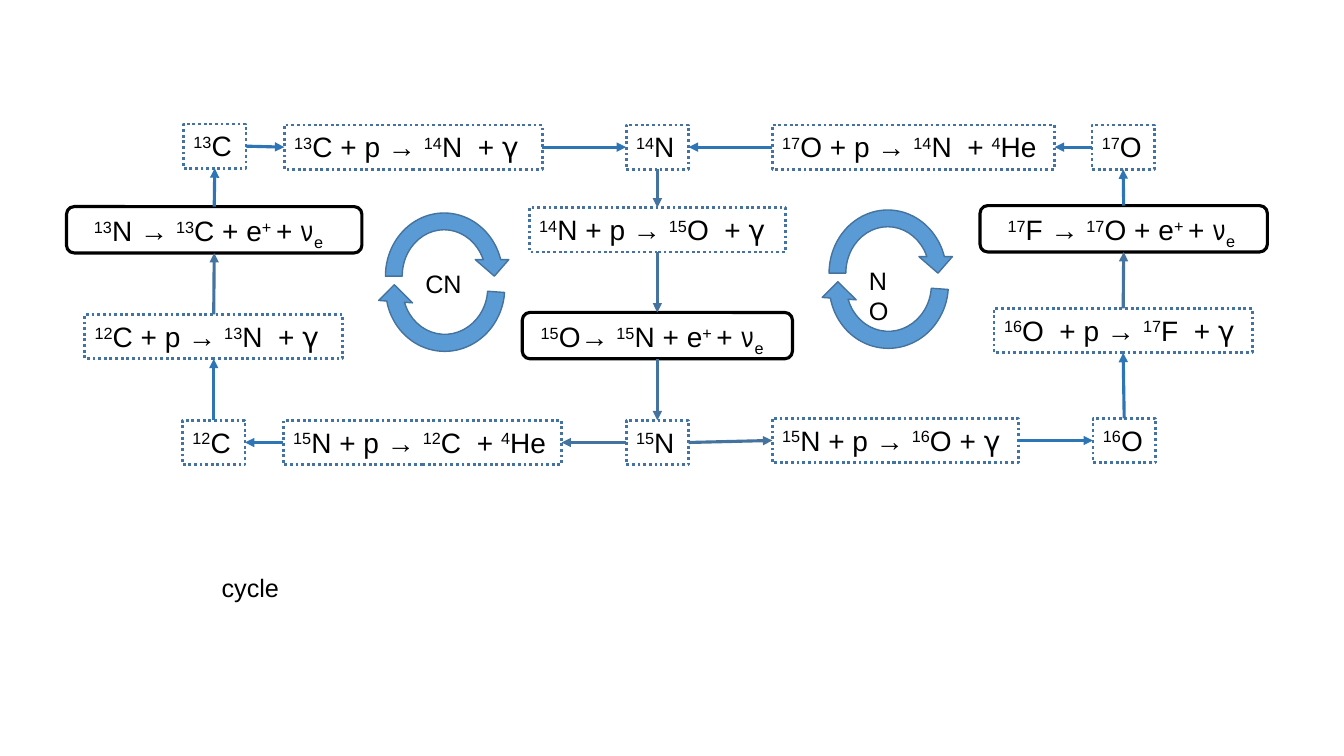
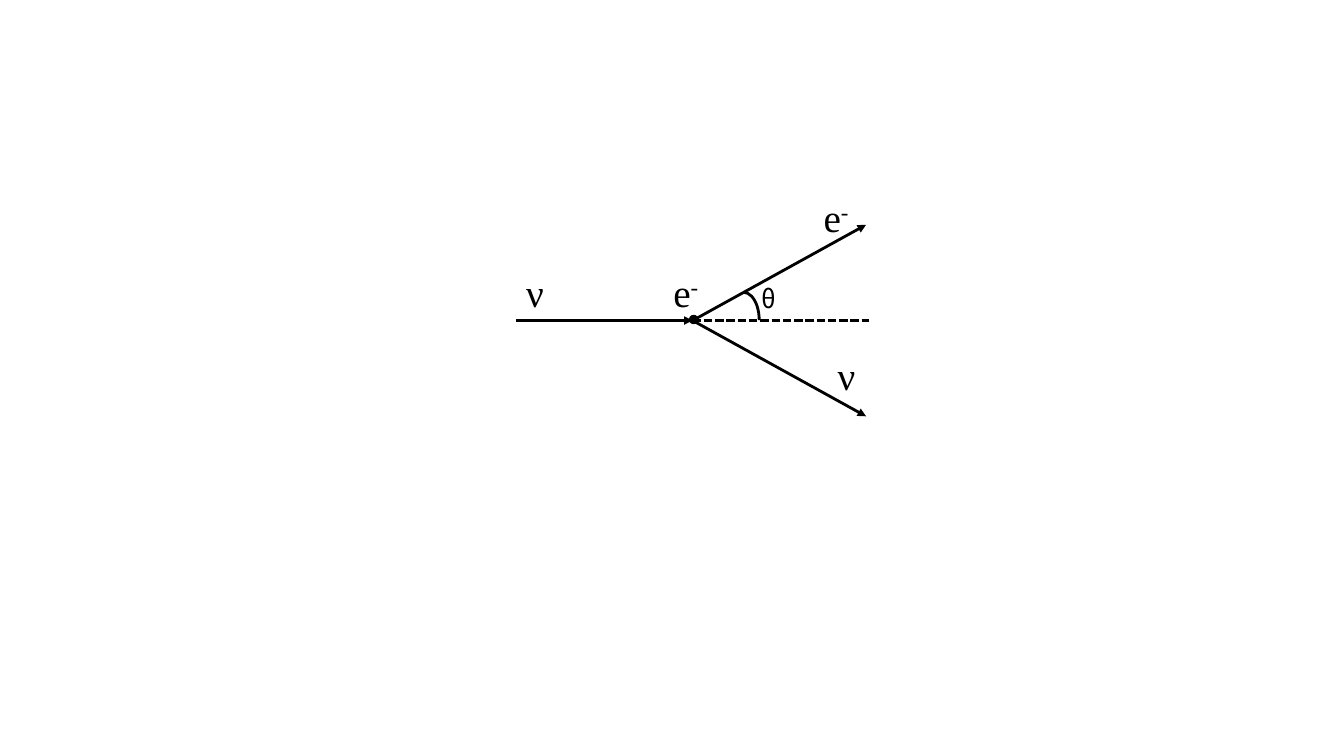
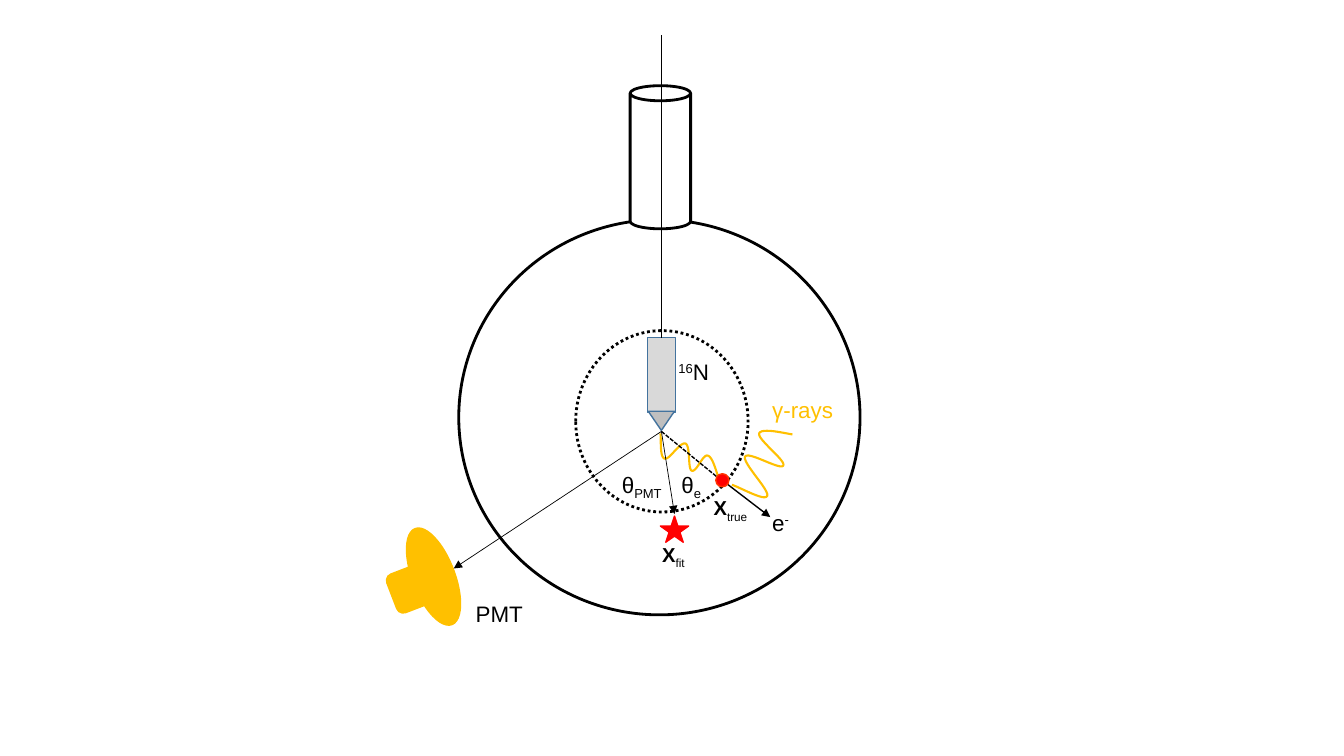
import itertools

import lxml.etree
import pptx
import pptx.dml.color
import pptx.enum.dml
import pptx.enum.shapes
import pptx.enum.text
import pptx.oxml.ns
import pptx.util

SHAPE = pptx.enum.shapes.MSO_SHAPE
DASH = pptx.enum.dml.MSO_LINE
EMU_PER_PX = 9144  # 100 px to the inch

BLACK, WHITE, RED, AMBER = "000000", "FFFFFF", "FF0000", "FFC000"
STEEL, BLUE, SKY = "43739E", "2E75B6", "5B9BD5"
TOP, LEFT, BOTTOM, RIGHT = range(4)


def px(*lengths):
    return [pptx.util.Emu(round(length * EMU_PER_PX)) for length in lengths]


def rgb(color):
    return pptx.dml.color.RGBColor.from_string(color)


def bezier(points, steps=12):
    """Points along joined cubic curves: a start, then three points a curve."""
    curve = [points[0]]
    for first in range(0, len(points) - 1, 3):
        controls = points[first:first + 4]
        for step in range(1, steps + 1):
            t = step / steps
            weights = ((1 - t) ** 3, 3 * t * (1 - t) ** 2, 3 * t * t * (1 - t), t ** 3)
            curve.append(tuple(sum(w * point[axis] for w, point in zip(weights, controls))
                               for axis in (0, 1)))
    return curve


class Deck:
    def __init__(self):
        self.presentation = pptx.Presentation()
        self.presentation.slide_width, self.presentation.slide_height = px(1333, 750)
        self.shapes = None

    def new_slide(self):
        layout = self.presentation.slide_layouts[6]
        self.shapes = self.presentation.slides.add_slide(layout).shapes

    def outline(self, line, color, width, dash=None):
        line.color.rgb = rgb(color)
        formats = {"width": pptx.util.Pt(width), "dash_style": dash}
        for name, value in formats.items():
            setattr(line, name, value)

    def paint(self, shape, fill, color, width, dash=None):
        shape.shadow.inherit = False
        if fill:
            shape.fill.solid()
            shape.fill.fore_color.rgb = rgb(fill)
        else:
            shape.fill.background()
        self.outline(shape.line, color, width, dash)

    def shape(self, kind, box, fill=None, color=BLACK, width=1, dash=None, rotation=0):
        shape = self.shapes.add_shape(kind, *px(*box))
        shape.rotation = rotation
        self.paint(shape, fill, color, width, dash)
        return shape

    def curve(self, points, color, width):
        start, *rest = [px(*point) for point in bezier(points)]
        builder = self.shapes.build_freeform(*start, scale=1.0)
        builder.add_line_segments(rest, close=False)
        self.paint(builder.convert_to_shape(), None, color, width)

    def set_text(self, shape, text, size, font="Arial", color=BLACK, bold=False,
                 symbols=None, inset=10, spacing=None, wrap=True):
        """Fill in text in which ^…| is raised and _…| is lowered."""
        frame = shape.text_frame
        margin_x, margin_y = px(inset, 5)
        formats = {"word_wrap": wrap, "margin_left": margin_x, "margin_right": px(10)[0],
                   "margin_top": margin_y, "margin_bottom": margin_y,
                   "vertical_anchor": pptx.enum.text.MSO_ANCHOR.TOP}
        for name, value in formats.items():
            setattr(frame, name, value)
        paragraph = frame.paragraphs[0]
        paragraph.alignment = pptx.enum.text.PP_ALIGN.LEFT
        paragraph.line_spacing = spacing
        for part in text.split("|"):
            mark, baseline = ("_", "-25000") if "_" in part else ("^", "30000")
            plain, _, script = part.partition(mark)
            for words, shift in ((plain, None), (script, baseline)):
                groups = itertools.groupby(words, lambda sign: (symbols or {}).get(sign, font))
                for face, signs in groups:
                    run = paragraph.add_run()
                    run.text = "".join(signs)
                    run.font.color.rgb = rgb(color)
                    styles = {"name": face, "size": pptx.util.Pt(size),
                              "bold": bold and not shift}
                    for name, value in styles.items():
                        setattr(run.font, name, value)
                    if shift:
                        run.font._element.set("baseline", shift)

    def label(self, box, text, size, **style):
        self.set_text(self.shapes.add_textbox(*px(*box)), text, size, **style)

    def line(self, begin, end, color=BLACK, width=1, dash=None, arrow=True):
        """Each end is a point (x, y) or a joint (shape, side)."""
        points = [joint if isinstance(joint[0], int) else (0, 0) for joint in (begin, end)]
        connector = self.shapes.add_connector(
            pptx.enum.shapes.MSO_CONNECTOR.STRAIGHT, *px(*points[0], *points[1]))
        for joint, connect in ((begin, connector.begin_connect), (end, connector.end_connect)):
            if not isinstance(joint[0], int):
                connect(*joint)
        self.outline(connector.line, color, width, dash)
        qn = pptx.oxml.ns.qn
        if arrow:
            properties = connector.line._get_or_add_ln()
            lxml.etree.SubElement(properties, qn("a:tailEnd"), type="triangle")
        lxml.etree.SubElement(connector._element.spPr, qn("a:effectLst"))


def cno_cycle(deck):
    deck.new_slide()
    symbols = {"γ": "DejaVu Sans", "ν": "TeX Gyre Adventor"}

    # Nuclei and captures: left, top, width, text
    dotted = {
        "C13": (182, 123, 62, "^13|C"),
        "N14": (621, 124, 62, "^14|N"),
        "O17": (1083, 124, 62, "^17|O"),
        "C12": (181, 417, 62, "^12|C"),
        "N15": (621, 417, 62, "^15|N"),
        "O16": (1084, 415, 62, "^16|O"),
        "C13 capture": (282, 124, 256, "^13|C + p → ^14|N  + γ"),
        "O17 capture": (766, 124, 280, "^17|O + p → ^14|N  + ^4|He"),
        "N14 capture": (525, 206, 254, "^14|N + p → ^15|O  + γ"),
        "C12 capture": (84, 312, 256, "^12|C + p → ^13|N  + γ"),
        "O16 capture": (986, 306, 256, "^16|O  + p → ^17|F  + γ"),
        "N15 to C12": (281, 417, 276, "^15|N + p → ^12|C  + ^4|He"),
        "N15 to O16": (766, 415, 244, "^15|N + p → ^16|O + γ"),
    }
    steps = {}
    for name, (left, top, width, text) in dotted.items():
        steps[name] = deck.shape(SHAPE.RECTANGLE, (left, top, width, 44),
                                 color=STEEL, width=2, dash=DASH.ROUND_DOT)
        deck.set_text(steps[name], text, 20, symbols=symbols)

    # Decays: left, top, width, inset, text
    decays = {
        "N13 decay": (66, 205, 293, 25, "^13|N → ^13|C + e^+ |+ ν_e|"),
        "O15 decay": (518, 310, 268, 16, "^15|O→ ^15|N + e^+ |+ ν_e|"),
        "F17 decay": (972, 204, 285, 25, "^17|F → ^17|O + e^+ |+ ν_e|"),
    }
    for name, (left, top, width, inset, text) in decays.items():
        steps[name] = deck.shape(SHAPE.ROUNDED_RECTANGLE, (left, top, width, 46), width=2.25)
        deck.set_text(steps[name], text, 20, symbols=symbols, inset=inset)

    # Arrows from step to step
    up, down, right, left = (TOP, BOTTOM), (BOTTOM, TOP), (RIGHT, LEFT), (LEFT, RIGHT)
    for begin, end, (begin_side, end_side), color in (
            ("C12", "C12 capture", up, BLUE),
            ("C12 capture", "N13 decay", up, STEEL),
            ("N13 decay", "C13", up, BLUE),
            ("C13", "C13 capture", right, BLUE),
            ("C13 capture", "N14", right, BLUE),
            ("N14", "N14 capture", down, STEEL),
            ("N14 capture", "O15 decay", down, STEEL),
            ("O15 decay", "N15", down, STEEL),
            ("N15", "N15 to C12", left, STEEL),
            ("N15 to C12", "C12", left, BLUE),
            ("N15", "N15 to O16", right, STEEL),
            ("N15 to O16", "O16", right, BLUE),
            ("O16", "O16 capture", up, BLUE),
            ("O16 capture", "F17 decay", up, STEEL),
            ("F17 decay", "O17", up, BLUE),
            ("O17", "O17 capture", left, BLUE),
            ("O17 capture", "N14", left, BLUE)):
        deck.line((steps[begin], begin_side), (steps[end], end_side), color, 2.25)

    # Turning arrows
    for left, top, name in ((374, 203, "CN"), (814, 200, "NO")):
        for box, rotation in (((left, top + 12, 135, 142), 184), ((left, top, 133, 142), 0)):
            deck.shape(SHAPE.CIRCULAR_ARROW, box, SKY, STEEL, rotation=rotation)
        deck.label((left + 38, top + 58, 57, 40), name, 18, wrap=False)
    deck.label((210, 563, 187, 71), "cycle", 18)


def electron_scattering(deck):
    deck.new_slide()
    vertex = (687, 318)

    # Tracks
    deck.line((512, 318), vertex, width=2)
    for end in ((859, 223), (859, 413)):
        deck.line(vertex, end, width=2)
    deck.line(vertex, (862, 318), width=2, dash=DASH.SQUARE_DOT, arrow=False)
    deck.shape(SHAPE.OVAL, (684, 313, 8, 8), BLACK)

    # Angle
    deck.shape(SHAPE.ARC, (722, 290, 31, 55), width=2)
    deck.label((745, 280, 36, 37), "θ", 18, font="Noto Sans CJK SC", spacing=0.9, wrap=False)

    # Particles
    for left, top, width, text in ((512, 261, 39, "ν"), (658, 261, 46, "e^-"),
                                   (821, 344, 39, "ν"), (807, 187, 46, "e^-")):
        deck.label((left, top, width, 57), text, 28, font="Times New Roman", wrap=False)


def calibration_source(deck):
    deck.new_slide()
    source = (656, 428)

    # Vessel and neck
    deck.shape(SHAPE.OVAL, (455, 218, 398, 392), width=2)
    deck.shape(SHAPE.CAN, (625, 85, 60, 142), WHITE, width=2)

    # Light sensor
    deck.shape(SHAPE.OVAL, (409, 521, 42, 102), AMBER, AMBER, rotation=159)
    deck.shape(SHAPE.ROUNDED_RECTANGLE, (387, 562, 48, 41), AMBER, AMBER, rotation=159)

    # Source on its cable
    body = deck.shape(SHAPE.RECTANGLE, (642, 335, 28, 74), "D9D9D9", STEEL)
    deck.shape(SHAPE.FLOWCHART_MERGE, (643, 408, 26, 19), "BFBFBF", STEEL)
    deck.line((body, TOP), (656, 35), arrow=False)

    # Gamma rays
    deck.curve([(786, 431), (779, 430), (755, 424), (753, 430), (751, 436), (780, 457),
                (777, 462), (774, 467), (742, 447), (739, 453), (736, 459), (764, 487),
                (761, 492), (759, 498), (733, 483), (726, 481)], AMBER, 1.5)
    deck.curve([(713, 475), (711, 470), (707, 453), (702, 452), (697, 450), (691, 469),
                (686, 467), (682, 465), (685, 443), (680, 440), (674, 438), (664, 457),
                (659, 455), (654, 453), (656, 435), (655, 430)], AMBER, 1.5)

    # Directions and positions
    deck.shape(SHAPE.OVAL, (571, 328, 171, 180), width=2, dash=DASH.ROUND_DOT)
    deck.line(source, (669, 510), width=0.5)
    deck.line(source, (450, 564), width=0.5)
    deck.line(source, (711, 473), dash=DASH.SQUARE_DOT, arrow=False)
    deck.line((721, 480), (764, 513))
    deck.shape(SHAPE.OVAL, (710, 470, 13, 13), RED, "FF3300")
    deck.shape(SHAPE.STAR_5_POINT, (655, 512, 28, 26), RED, RED)

    # Labels
    for left, top, width, text in ((607, 462, 111, "θ_PMT|"), (666, 462, 58, "θ_e|"),
                                   (663, 350, 64, "^16|N"), (462, 590, 109, "PMT"),
                                   (756, 500, 68, "e^-")):
        deck.label((left, top, width, 37), text, 16)
    for left, top, text in ((647, 533, "X_fit|"), (698, 487, "X_true|")):
        deck.label((left, top, 60, 34), text, 14.4, bold=True)
    deck.label((756, 388, 88, 37), "γ-rays", 16, color=AMBER)


def main():
    deck = Deck()
    cno_cycle(deck)
    electron_scattering(deck)
    calibration_source(deck)
    deck.presentation.save("out.pptx")


if __name__ == "__main__":
    main()
